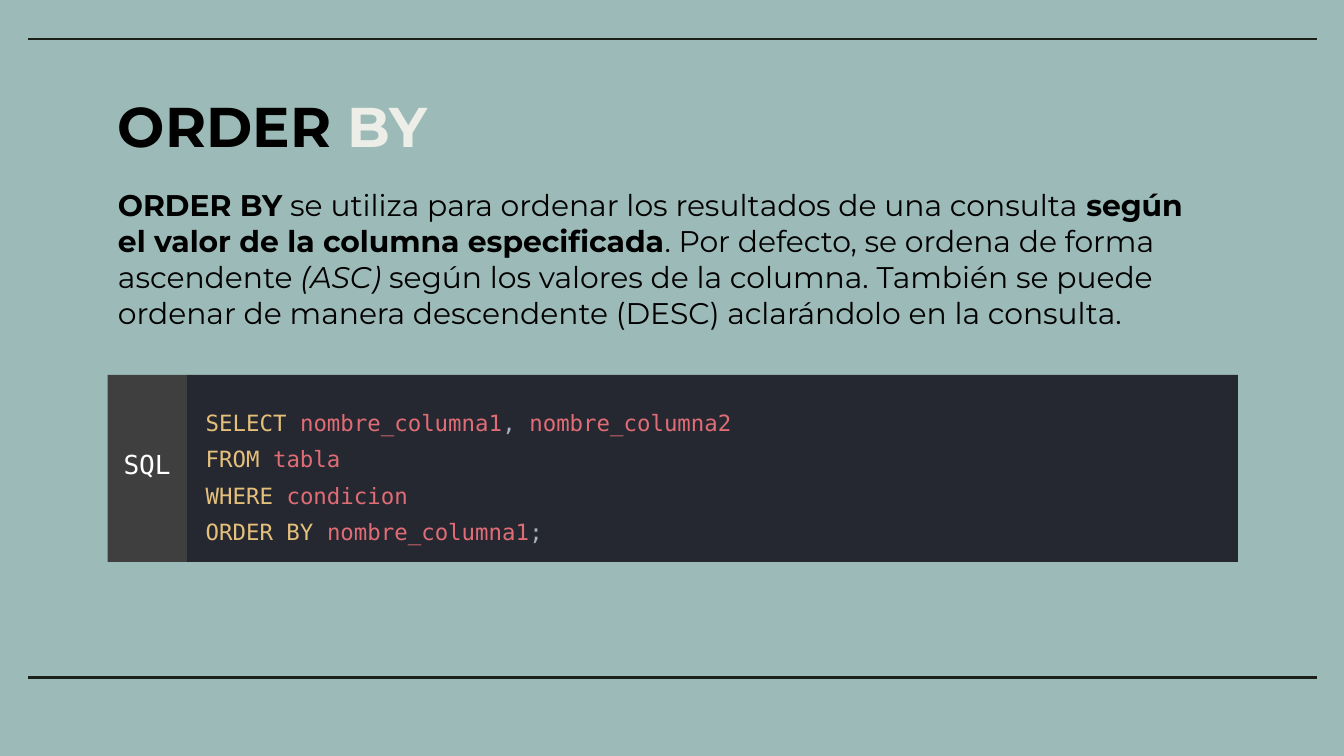
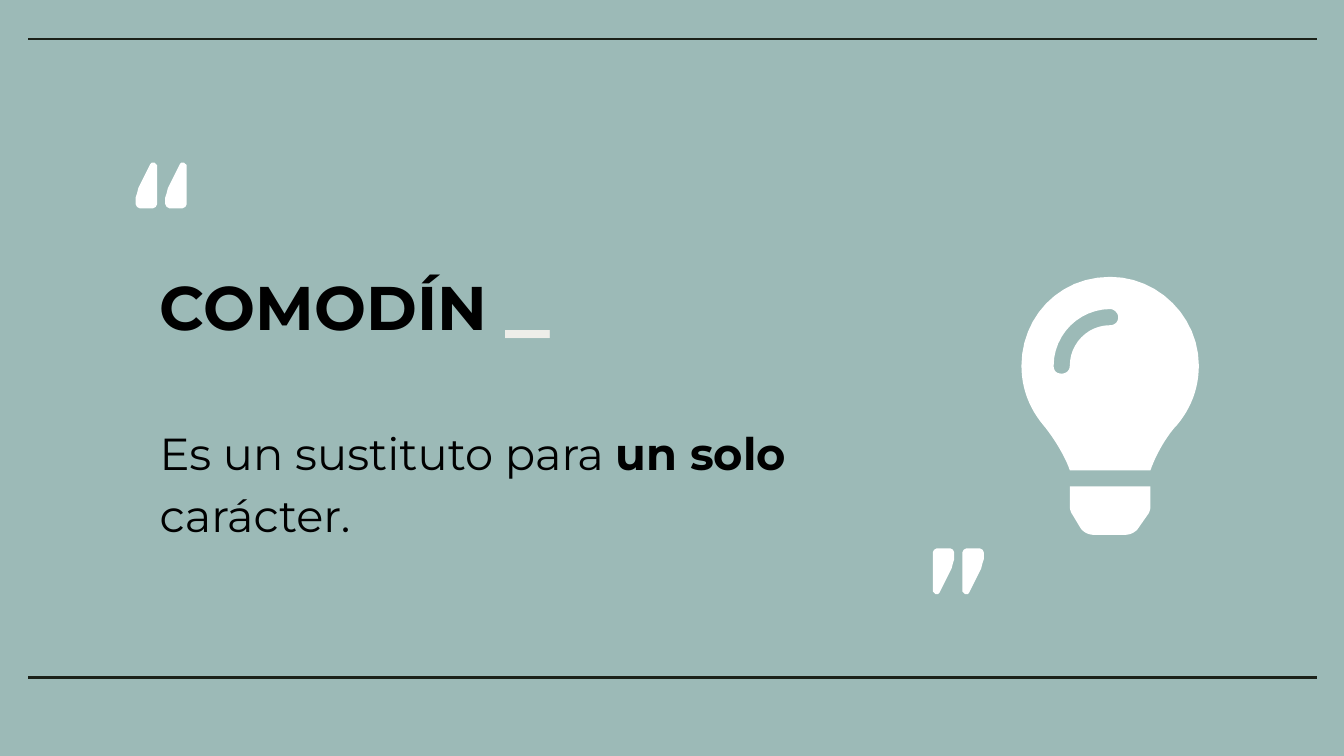
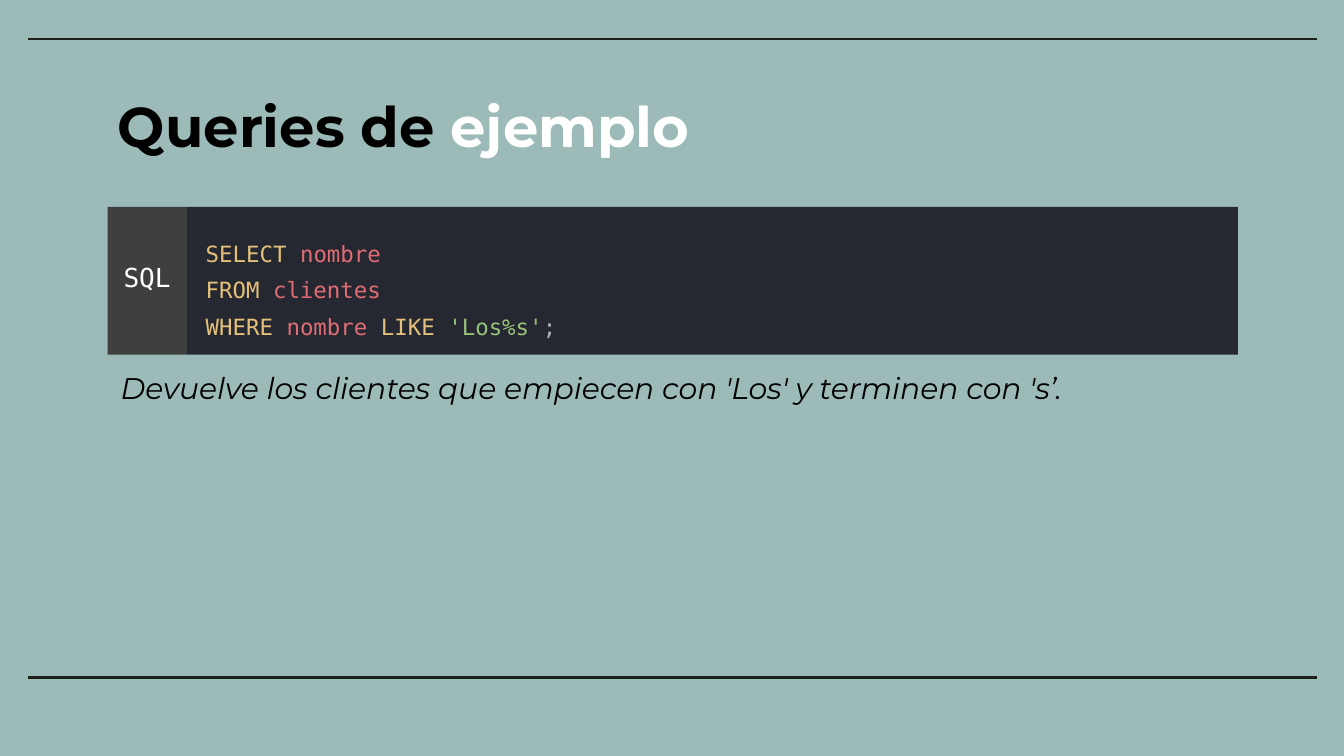
from pptx import Presentation
from pptx import util as u
from pptx.dml.color import RGBColor
from pptx.enum import shapes, text
from pptx.oxml.ns import qn
from lxml import etree

SANS, MONO = "Montserrat", "DejaVu Sans Mono"
BLACK, WHITE, CREAM = "000000", "FFFFFF", "EEEEE9"
KEYWORD, NAME, STRING, PUNCT = "E5C07B", "E06C75", "98C379", "ABB2BF"


def rgb(value):
    return RGBColor.from_string(value)


def write(sp, paragraphs, size, font=SANS, insets=(0.1, 0.1, 0.1, 0.1),
          anchor=text.MSO_ANCHOR.TOP, align=text.PP_ALIGN.LEFT, spacing=1.0, before=0):
    """Each paragraph is a list of runs: (text, colour, style letters b and i)."""
    tf = sp.text_frame
    tf.word_wrap = True
    tf.vertical_anchor = anchor
    tf.margin_left, tf.margin_top, tf.margin_right, tf.margin_bottom = map(u.Inches, insets)
    for i, runs in enumerate(paragraphs):
        p = tf.paragraphs[0] if i == 0 else tf.add_paragraph()
        p.alignment, p.line_spacing, p.space_before = align, spacing, u.Pt(before)
        p.font.name, p.font.size = font, u.Pt(size)
        for content, colour, style in runs:
            r = p.add_run()
            r.text = content
            r.font.color.rgb = rgb(colour)
            r.font.bold, r.font.italic = "b" in style, "i" in style
    return tf


# 16:9 page with a plain background
prs = Presentation()
prs.slide_width = u.Inches(10)
prs.slide_height = prs.slide_width * 9 // 16
fill = prs.slide_master.background.fill
fill.solid()
fill.fore_color.rgb = rgb("9CBAB7")

# Slides with the two shared rules
slides = [prs.slides.add_slide(prs.slide_layouts[6]) for _ in range(3)]
for s in slides:
    for y in (5.04, 0.29):
        line = s.shapes.add_connector(shapes.MSO_CONNECTOR.STRAIGHT, u.Inches(0.21),
                                      u.Inches(y), u.Inches(9.8), u.Inches(y))
        line.line.color.rgb = rgb("1B2119")
        line.line.width = u.Pt(1.5)
        etree.SubElement(line._element.spPr, qn("a:effectLst"))
order_by, wildcard, example = slides

# Slides 1 and 3: title, SQL block and explanation
order_code = [
    [("SELECT ", KEYWORD, ""), ("nombre_columna1", NAME, ""), (", ", PUNCT, ""),
     ("nombre_columna2", NAME, "")],
    [("FROM ", KEYWORD, ""), ("tabla", NAME, "")],
    [("WHERE ", KEYWORD, ""), ("condicion", NAME, "")],
    [("ORDER BY ", KEYWORD, ""), ("nombre_columna1", NAME, ""), (";", PUNCT, "")],
]
order_note = [
    ("ORDER BY", BLACK, "b"),
    (" se utiliza para ordenar los resultados de una consulta ", BLACK, ""),
    ("según el valor de la columna especificada", BLACK, "b"),
    (". Por defecto, se ordena de forma ascendente ", BLACK, ""),
    ("(ASC) ", BLACK, "i"),
    ("según los valores de la columna. También se puede ordenar de manera descendente "
     "(DESC) aclarándolo en la consulta.", BLACK, ""),
]
example_code = [
    [("SELECT ", KEYWORD, ""), ("nombre", NAME, "")],
    [("FROM ", KEYWORD, ""), ("clientes", NAME, "")],
    [("WHERE ", KEYWORD, ""), ("nombre ", NAME, ""), ("LIKE ", KEYWORD, ""),
     ("'Los%s'", STRING, ""), (";", PUNCT, "")],
]
example_note = [
    ("Devuelve los clientes que empiecen con 'Los' y terminen con 's’.", BLACK, "i")]

for s, title, code, code_top, code_height, note, note_box in (
    (order_by, [("ORDER ", BLACK, "b"), ("BY", CREAM, "b")],
     order_code, 2.79, 1.39, order_note, (0.78, 1.29, 8.34, 0.74)),
    (example, [("Queries de ", BLACK, "b"), ("ejemplo", WHITE, "b")],
     example_code, 1.54, 1.1, example_note, (0.8, 2.65, 8.41, 0.91)),
):
    sp = s.shapes.add_textbox(*map(u.Inches, (0.78, 0.6, 8.43, 0.69)))
    write(sp, [title], 30, anchor=text.MSO_ANCHOR.BOTTOM, spacing=0.9)
    sp = s.shapes.add_textbox(*map(u.Inches, note_box))
    write(sp, [note], 16, before=6)

    block = s.shapes.add_group_shape()
    for left, width, colour, lines, size, insets, align, spacing in (
        (1.39, 7.82, "262831", code, 12, (0.14, 0.16, 0.1, 0.1), text.PP_ALIGN.LEFT, 1.36),
        (0.8, 0.59, "3F3F3F", [[("SQL", WHITE, "")]], 14, (0.1, 0.04, 0.1, 0.1),
         text.PP_ALIGN.CENTER, 1.0),
    ):
        sp = block.shapes.add_shape(shapes.MSO_SHAPE.RECTANGLE, *map(
            u.Inches, (left, code_top, width, code_height)))
        sp.shadow.inherit = False
        sp.fill.solid()
        sp.fill.fore_color.rgb = rgb(colour)
        sp.line.fill.background()
        write(sp, lines, size, MONO, insets, text.MSO_ANCHOR.MIDDLE, align, spacing)

# Slide 2: definition
sp = wildcard.shapes.add_textbox(*map(u.Inches, (1.09, 1.74, 6.05, 2.22)))
tf = write(sp, [
    [("COMODÍN ", BLACK, "b"), ("_", CREAM, "b")],
    [("Es un sustituto para ", BLACK, ""), ("un solo", BLACK, "b"), (" carácter.", BLACK, "")],
], 24, insets=(0.1, 0.05, 0.1, 0.05), anchor=text.MSO_ANCHOR.MIDDLE, spacing=1.15, before=6)
heading, definition = tf.paragraphs
heading.font.size = u.Pt(33)
heading.runs[1].font.size = u.Pt(48)
definition.space_before = u.Pt(37)

# Slide 2: outlines; pairs are line ends, sixes are Bézier curves
bulb = [
    [(7.96, 3.77), (7.96, 3.79, 7.97, 3.82, 7.98, 3.83), (8.04, 3.93),
     (8.06, 3.96, 8.1, 3.98, 8.14, 3.98), (8.37, 3.98),
     (8.41, 3.98, 8.45, 3.96, 8.47, 3.93), (8.54, 3.83),
     (8.55, 3.82, 8.56, 3.79, 8.56, 3.77), (8.56, 3.62), (7.96, 3.62)],
    [(7.6, 2.72), (7.6, 2.89, 7.66, 3.04, 7.76, 3.16),
     (7.82, 3.23, 7.92, 3.38, 7.96, 3.5), (8.56, 3.5),
     (8.6, 3.38, 8.69, 3.23, 8.76, 3.16), (8.86, 3.04, 8.92, 2.89, 8.92, 2.72),
     (8.92, 2.36, 8.62, 2.06, 8.26, 2.06), (7.87, 2.06, 7.6, 2.37, 7.6, 2.72)],
    [(8.26, 2.42), (8.09, 2.42, 7.96, 2.56, 7.96, 2.72),
     (7.96, 2.76, 7.93, 2.78, 7.9, 2.78), (7.86, 2.78, 7.84, 2.76, 7.84, 2.72),
     (7.84, 2.49, 8.03, 2.3, 8.26, 2.3), (8.29, 2.3, 8.32, 2.33, 8.32, 2.36),
     (8.32, 2.4, 8.29, 2.42, 8.26, 2.42)],
]
quote = [(0.14, 0), (0.12, 0), (0.11, 0.01), (0.04, 0.15), (0.02, 0.19), (0.01, 0.23),
         (0, 0.26), (0, 0.31), (0.01, 0.33), (0.03, 0.34), (0.13, 0.34), (0.15, 0.33),
         (0.16, 0.31), (0.16, 0.02), (0.15, 0.01)]
open_quotes = wildcard.shapes.add_group_shape()
close_quotes = wildcard.shapes.add_group_shape()

for parent, outline, left, top, rotation in (
    (wildcard, bulb, 0, 0, 0),
    (open_quotes, [quote], 1.01, 1.21, 0),
    (open_quotes, [quote], 1.23, 1.21, 0),
    (close_quotes, [quote], 7.16, 4.08, 180),
    (close_quotes, [quote], 6.94, 4.08, 180),
):
    builder = None
    for contour in outline:
        points = [contour[0]]
        for step in contour[1:]:
            if len(step) == 2:
                points.append(step)
                continue
            x0, y0 = points[-1]
            x1, y1, x2, y2, x3, y3 = step
            for t in (k / 12 for k in range(1, 13)):
                a, b, c, d = (1 - t) ** 3, 3 * t * (1 - t) ** 2, 3 * t * t * (1 - t), t ** 3
                points.append((a * x0 + b * x1 + c * x2 + d * x3,
                               a * y0 + b * y1 + c * y2 + d * y3))
        points = [(u.Inches(left + x), u.Inches(top + y)) for x, y in points]
        if builder is None:
            builder = parent.shapes.build_freeform(*points[0])
        else:
            builder.move_to(*points[0])
        builder.add_line_segments(points[1:], close=True)
    sp = builder.convert_to_shape()
    sp.rotation = rotation
    sp.shadow.inherit = False
    sp.fill.solid()
    sp.fill.fore_color.rgb = rgb(WHITE)
    sp.line.fill.background()

prs.save("out.pptx")
